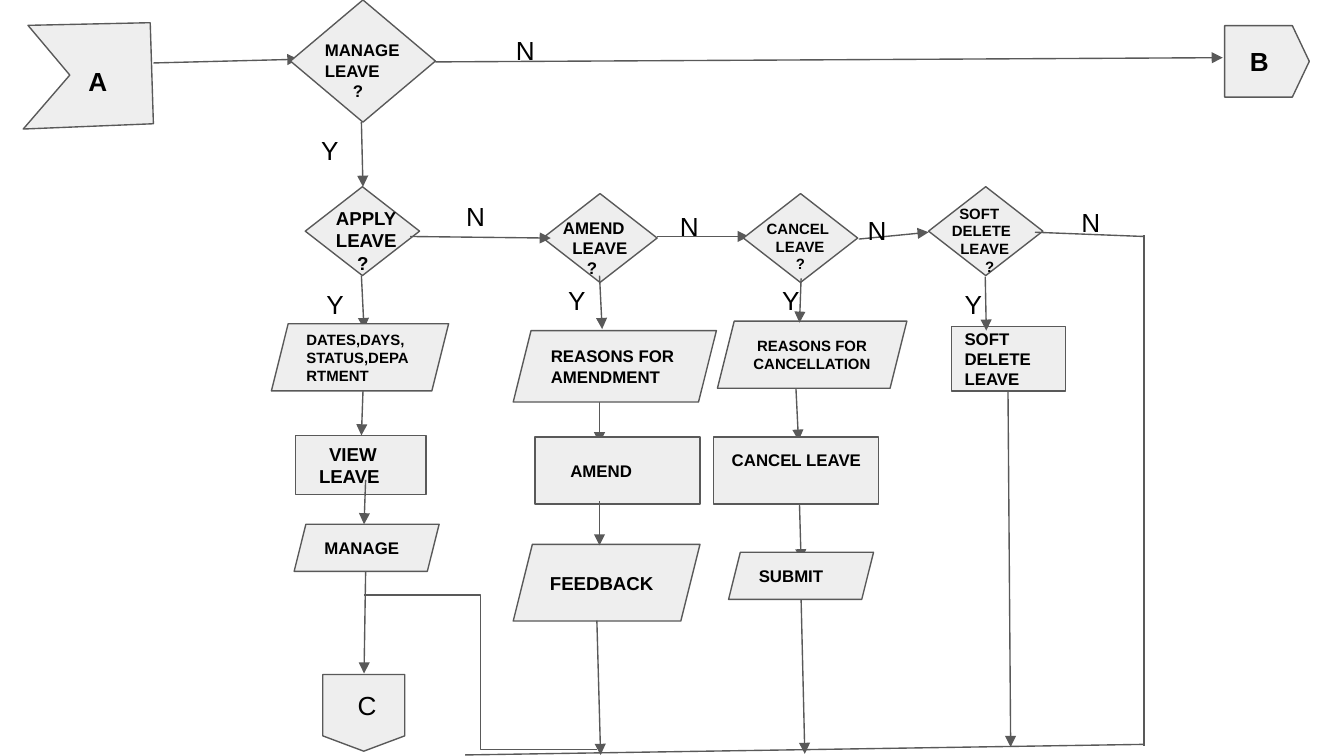
from lxml.etree import SubElement
from pptx import Presentation
from pptx.dml.color import RGBColor
from pptx.enum.shapes import MSO_CONNECTOR, MSO_SHAPE
from pptx.enum.text import MSO_ANCHOR, PP_ALIGN
from pptx.oxml.ns import qn
from pptx.util import Cm, Pt

COLORS = {"fill": "EEEEEE", "line": "595959", "text": "000000"}
DIAMOND = MSO_SHAPE.DIAMOND
DATA = MSO_SHAPE.PARALLELOGRAM
RECT = MSO_SHAPE.RECTANGLE
OFFPAGE = MSO_SHAPE.FLOWCHART_OFFPAGE_CONNECTOR

DECISIONS = [
    (5.49, 0, 2.74, 2.31),
    (5.77, 3.53, 2.16, 1.68),
    (10.26, 3.66, 2.16, 1.68),
    (14.05, 3.66, 2.16, 1.68),
    (17.55, 3.53, 2.16, 1.68),
]
STEPS = [
    (DATA, 5.13, 6.12, 3.35, 1.27, ["DATES,DAYS,STATUS,DEPARTMENT"], 8),
    (RECT, 5.59, 8.23, 2.46, 1.12, [("VIEW", 0.38), ("LEAVE", 0.19)], 10),
    (DATA, 5.56, 9.91, 2.74, 0.89, ["MANAGE"], 9),
    (DATA, 9.7, 6.25, 3.84, 1.35, ["REASONS FOR AMENDMENT"], 9),
    (RECT, 10.11, 8.26, 3.12, 1.27, [("AMEND", 0.42)], 9),
    (DATA, 9.7, 10.29, 3.53, 1.45, ["FEEDBACK"], 10),
    (DATA, 13.56, 6.07, 3.58, 1.27, [("REASONS FOR CANCELLATION", 0.07)], 8),
    (DATA, 13.77, 10.44, 2.74, 0.89, ["SUBMIT"], 9),
    (RECT, 17.98, 6.17, 2.16, 1.22, ["SOFT", "DELETE", "LEAVE"], 9),
]
QUESTIONS = [
    (5.89, 0.51, 1.93, 1.65, ["MANAGE", "LEAVE", ("?", 0.53)], 9),
    (6.1, 3.66, 2.46, 1.78, ["APPLY", "LEAVE", ("?", 0.4)], 10),
    (10.31, 3.86, 2.16, 1.65, [("AMEND", 0.08), ("LEAVE", 0.26), ("?", 0.53)], 9),
    (17.6, 3.61, 1.93, 1.85,
     [("SOFT", 0.28), ("DELETE", 0.14), ("LEAVE", 0.3), ("?", 0.77)], 8),
]
ANSWERS = [
    ("N", 9.5, 0.41, 1.19), ("N", 8.56, 3.53, 0.53), ("N", 12.6, 3.73, 0.74),
    ("N", 16.15, 3.81, 1.4), ("N", 20.19, 3.66, 0.74),
    ("Y", 5.82, 2.29, 0.74), ("Y", 5.92, 5.21, 0.74), ("Y", 10.49, 5.13, 0.74),
    ("Y", 14.53, 5.13, 0.51), ("Y", 17.98, 5.21, 0.51),
]
ARROWS_BEHIND = [
    (2.9, 1.19, 5.64, 1.12), (12.42, 4.47, 14.15, 4.47),
    (6.83, 5.21, 6.88, 6.22), (11.33, 7.54, 11.33, 8.38),
    (15.04, 7.29, 15.09, 8.33), (15.11, 9.55, 15.14, 10.59),
]
ARROWS = [
    (8.23, 1.17, 23.11, 1.09), (6.83, 2.31, 6.86, 3.53),
    (7.75, 4.47, 10.41, 4.5), (16.23, 4.52, 17.55, 4.39),
    (11.33, 5.21, 11.38, 6.22), (15.14, 5.26, 15.11, 6.1),
    (18.62, 5.23, 18.64, 6.25), (6.86, 7.39, 6.83, 8.23),
    (6.91, 9.07, 6.88, 9.91), (6.91, 10.8, 6.88, 12.73),
    (11.33, 9.47, 11.33, 10.31), (11.28, 11.73, 11.35, 14.27),
    (15.14, 11.33, 15.21, 14.25), (19.05, 7.39, 19.1, 14.12),
]
LINES = [
    (19.56, 4.39, 21.62, 4.47), (21.62, 4.45, 21.62, 14.1),
    (8.79, 14.27, 21.62, 14.07),
]


def rgb(name):
    return RGBColor.from_string(COLORS[name])


def write(sp, lines, size=14, bold=True, anchor=MSO_ANCHOR.TOP):
    tf = sp.text_frame
    tf.word_wrap = True
    tf.vertical_anchor = anchor
    tf.margin_left = tf.margin_right = tf.margin_top = tf.margin_bottom = Cm(0.25)
    for i, line in enumerate(lines):
        text, indent = line if isinstance(line, tuple) else (line, 0)
        p = tf.add_paragraph() if i else tf.paragraphs[0]
        p.alignment = PP_ALIGN.LEFT
        pPr = p._p.get_or_add_pPr()
        pPr.set("marL", "0")
        pPr.set("indent", str(Cm(indent)))
        r = p.add_run()
        r.text = text
        r.font.name = "Arial"
        r.font.size = Pt(size)
        r.font.bold = bold
        r.font.color.rgb = rgb("text")


def label(s, x, y, w, h, lines, **fmt):
    write(s.shapes.add_textbox(Cm(x), Cm(y), Cm(w), Cm(h)), lines, **fmt)


def paint(sp):
    sp.shadow.inherit = False
    sp.fill.solid()
    sp.fill.fore_color.rgb = rgb("fill")
    sp.line.color.rgb = rgb("line")
    sp.line.width = Pt(0.75)


def node(s, kind, x, y, w, h, lines=(), anchor=MSO_ANCHOR.MIDDLE, **fmt):
    sp = s.shapes.add_shape(kind, Cm(x), Cm(y), Cm(w), Cm(h))
    paint(sp)
    write(sp, lines, anchor=anchor, **fmt)
    return sp


def outline(s, points):
    first, *rest = [(Cm(x), Cm(y)) for x, y in points]
    fb = s.shapes.build_freeform(*first)
    fb.add_line_segments(rest, close=True)
    paint(fb.convert_to_shape())


def connect(s, ends, arrow=False, kind=MSO_CONNECTOR.STRAIGHT):
    c = s.shapes.add_connector(kind, *[Cm(v) for v in ends])
    c.line.color.rgb = rgb("line")
    c.line.width = Pt(0.75)
    if arrow:
        SubElement(c.line._get_or_add_ln(), qn("a:tailEnd"), type="triangle")
    SubElement(c._element.spPr, qn("a:effectLst"))


def main():
    prs = Presentation()
    prs.slide_width, prs.slide_height = Cm(25.4), Cm(14.29)
    s = prs.slides.add_slide(prs.slide_layouts[6])

    outline(s, [(2.84, 0.43), (0.53, 0.48), (1.32, 1.42), (0.44, 2.44), (2.9, 2.34)])
    for ends in ARROWS_BEHIND:
        connect(s, ends, arrow=True)
    for box in DECISIONS:
        node(s, DIAMOND, *box)
    for kind, x, y, w, h, lines, size in STEPS:
        node(s, kind, x, y, w, h, lines, size=size)
    node(s, RECT, 13.49, 8.26, 3.12, 1.27, [("CANCEL LEAVE", 0.09)],
         size=9, anchor=MSO_ANCHOR.TOP)
    node(s, OFFPAGE, 6.1, 12.75, 1.55, 1.45, [("C", 0.41)], bold=False)
    node(s, OFFPAGE, 23.27, 0.36, 1.35, 1.6).rotation = 270

    for ends in ARROWS:
        connect(s, ends, arrow=True)
    for ends in LINES:
        connect(s, ends)
    connect(s, (6.88, 11.25, 11.28, 14.17), kind=MSO_CONNECTOR.ELBOW)

    for x, y, w, h, lines, size in QUESTIONS:
        label(s, x, y, w, h, lines, size=size)
    label(s, 13.79, 2.54, 3.35, 2.87, [("CANCEL", 0.45), ("LEAVE", 0.62), ("?", 1)],
          size=8, anchor=MSO_ANCHOR.BOTTOM)
    for text, x, y, w in ANSWERS:
        label(s, x, y, w, 1.09, [text], bold=False)
    label(s, 1.42, 0.99, 1.02, 1.09, ["A"])
    label(s, 23.37, 0.61, 0.74, 1.09, ["B"])
    prs.save("out.pptx")


main()
